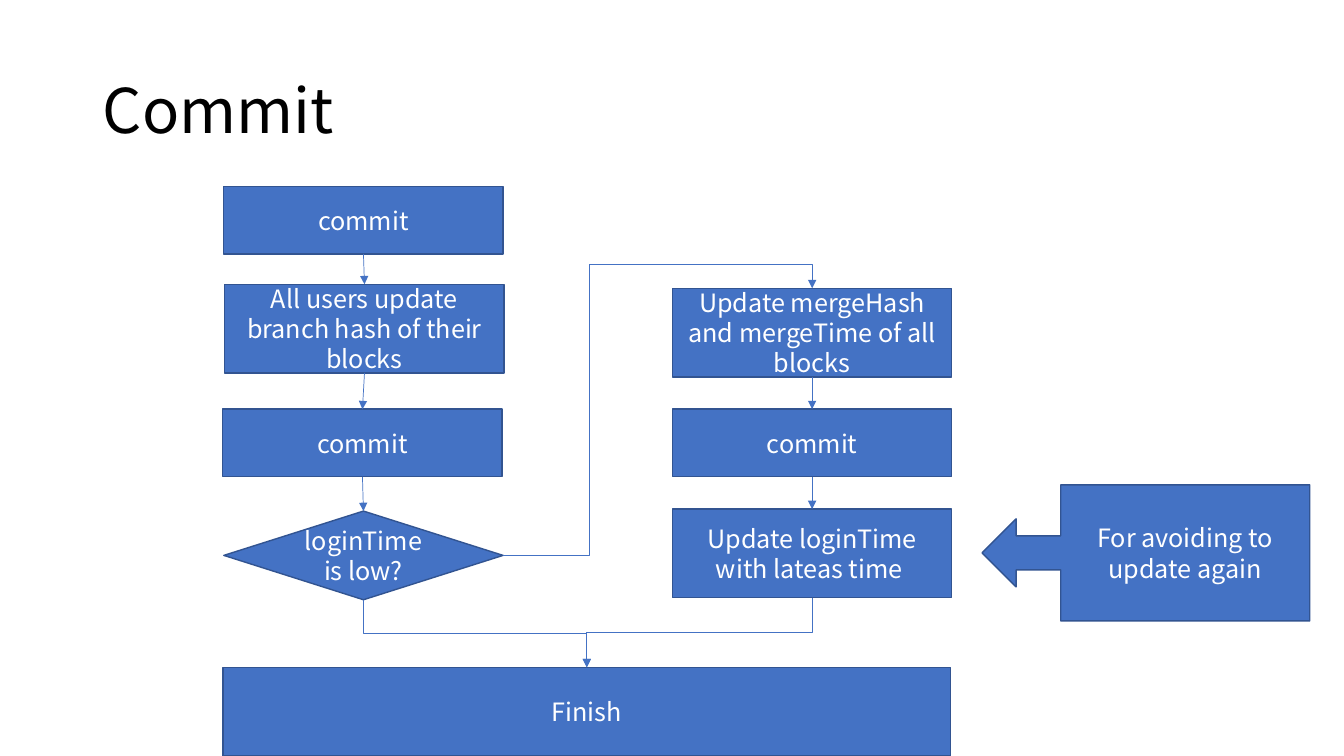
import pptx
import pptx.dml.color
import pptx.enum.shapes
import pptx.enum.text
import pptx.oxml
import pptx.oxml.ns
import pptx.util

Inches = pptx.util.Inches
SHAPES = pptx.enum.shapes.MSO_SHAPE
LINKS = pptx.enum.shapes.MSO_CONNECTOR
ALIGN = pptx.enum.text.PP_ALIGN
TOP, BOTTOM, RIGHT = 0, 2, 3


class FlowSlide:
    """Draws the parts of a flowchart on one slide in a shared style."""

    font = "Noto Sans CJK KR"
    colors = {"title": "000000", "fill": "4472C4", "border": "325491", "label": "FFFFFF"}

    def __init__(self, slide):
        self.slide = slide

    def color(self, name):
        return pptx.dml.color.RGBColor.from_string(self.colors[name])

    def set_label(self, frame, text, size, color, align):
        frame.text = text
        frame.word_wrap = True
        frame.auto_size = pptx.enum.text.MSO_AUTO_SIZE.NONE
        frame.vertical_anchor = pptx.enum.text.MSO_ANCHOR.MIDDLE
        paragraph = frame.paragraphs[0]
        paragraph.alignment = align
        font = paragraph.runs[0].font
        font.name = self.font
        font.size = pptx.util.Pt(size)
        font.color.rgb = self.color(color)
        return paragraph

    def title(self, text, left, top, width, height):
        heading = self.slide.shapes.title
        heading.left, heading.top = Inches(left), Inches(top)
        heading.width, heading.height = Inches(width), Inches(height)
        self.set_label(heading.text_frame, text, 44, "title", ALIGN.LEFT).line_spacing = 0.9

    def step(self, text, left, top, width=2.77, height=0.88, kind=SHAPES.RECTANGLE, adjust=()):
        step = self.slide.shapes.add_shape(
            kind, Inches(left), Inches(top), Inches(width), Inches(height))
        for index, value in enumerate(adjust):
            step.adjustments[index] = value
        step.shadow.inherit = False
        step.fill.solid()
        step.fill.fore_color.rgb = self.color("fill")
        step.line.color.rgb = self.color("border")
        step.line.width = pptx.util.Pt(1)
        self.set_label(step.text_frame, text, 18, "label", ALIGN.CENTER)
        return step

    def arrow(self, source, target, start=BOTTOM, end=TOP, kind=LINKS.STRAIGHT):
        arrow = self.slide.shapes.add_connector(kind, 0, 0, 0, 0)
        arrow.begin_connect(source, start)
        arrow.end_connect(target, end)
        arrow.line.color.rgb = self.color("fill")
        arrow.line.width = pptx.util.Pt(0.5)
        properties = arrow.element.spPr
        properties.find(pptx.oxml.ns.qn("a:ln")).append(pptx.oxml.parse_xml(
            f'<a:tailEnd {pptx.oxml.ns.nsdecls("a")} type="triangle"/>'))
        properties.append(pptx.oxml.parse_xml(
            f'<a:effectLst {pptx.oxml.ns.nsdecls("a")}/>'))
        return arrow

    def drop_arrow(self, source, target):
        arrow = self.arrow(source, target, kind=LINKS.ELBOW)
        x1, y1, x2, y2 = arrow.begin_x, arrow.begin_y, arrow.end_x, arrow.end_y
        middle_x, middle_y = (x1 + x2) // 2, (y1 + y2) // 2
        half_run, half_drop = abs(x2 - x1) // 2, (y2 - y1) // 2
        rightward = x2 > x1
        side = 1 if rightward else -1
        arrow.begin_x, arrow.end_x = middle_x + side * half_drop, middle_x - side * half_drop
        arrow.begin_y, arrow.end_y = middle_y - half_run, middle_y + half_run
        frame = arrow.element.spPr.find(pptx.oxml.ns.qn("a:xfrm"))
        frame.set("rot", str((270 if rightward else 90) * 60000))

    def detour_arrow(self, source, target, turn, rise):
        arrow = self.arrow(source, target, RIGHT, TOP, LINKS.ELBOW)
        geometry = arrow.element.spPr.find(pptx.oxml.ns.qn("a:prstGeom"))
        geometry.set("prst", "bentConnector4")
        guides = geometry.find(pptx.oxml.ns.qn("a:avLst"))
        for name, share in (("adj1", turn), ("adj2", rise)):
            guides.append(pptx.oxml.parse_xml(
                f'<a:gd {pptx.oxml.ns.nsdecls("a")} name="{name}" '
                f'fmla="val {round(share * 100000)}"/>'))


def main():
    deck = pptx.Presentation()
    deck.slide_width, deck.slide_height = Inches(13.33), Inches(7.5)
    flow = FlowSlide(deck.slides.add_slide(deck.slide_layouts[5]))
    flow.title("Commit", 0.92, 0.4, 11.5, 1.45)

    first_commit = flow.step("commit", 2.22, 1.85, height=0.67)
    branch_update = flow.step("All users update branch hash of their blocks", 2.23, 2.82)
    second_commit = flow.step("commit", 2.21, 4.06, height=0.67)
    login_check = flow.step("loginTime is low?", 2.22, 5.07, kind=SHAPES.FLOWCHART_DECISION)
    merge_update = flow.step("Update mergeHash and mergeTime of all blocks", 6.67, 2.86)
    merge_commit = flow.step("commit", 6.67, 4.06, height=0.67)
    login_update = flow.step("Update loginTime with lateas time ", 6.67, 5.05)
    finish = flow.step("Finish", 2.21, 6.62, width=7.22)
    flow.step("For avoiding to update again", 9.74, 4.81, 3.25, 1.35,
              SHAPES.LEFT_ARROW_CALLOUT, (0.25, 0.25, 0.25, 0.76))

    for column in ((first_commit, branch_update, second_commit, login_check),
                   (merge_update, merge_commit, login_update)):
        for source, target in zip(column, column[1:]):
            flow.arrow(source, target)
    flow.detour_arrow(login_check, merge_update, 0.28, 1.09)
    for last_step in (login_check, login_update):
        flow.drop_arrow(last_step, finish)

    deck.save("out.pptx")


if __name__ == "__main__":
    main()
